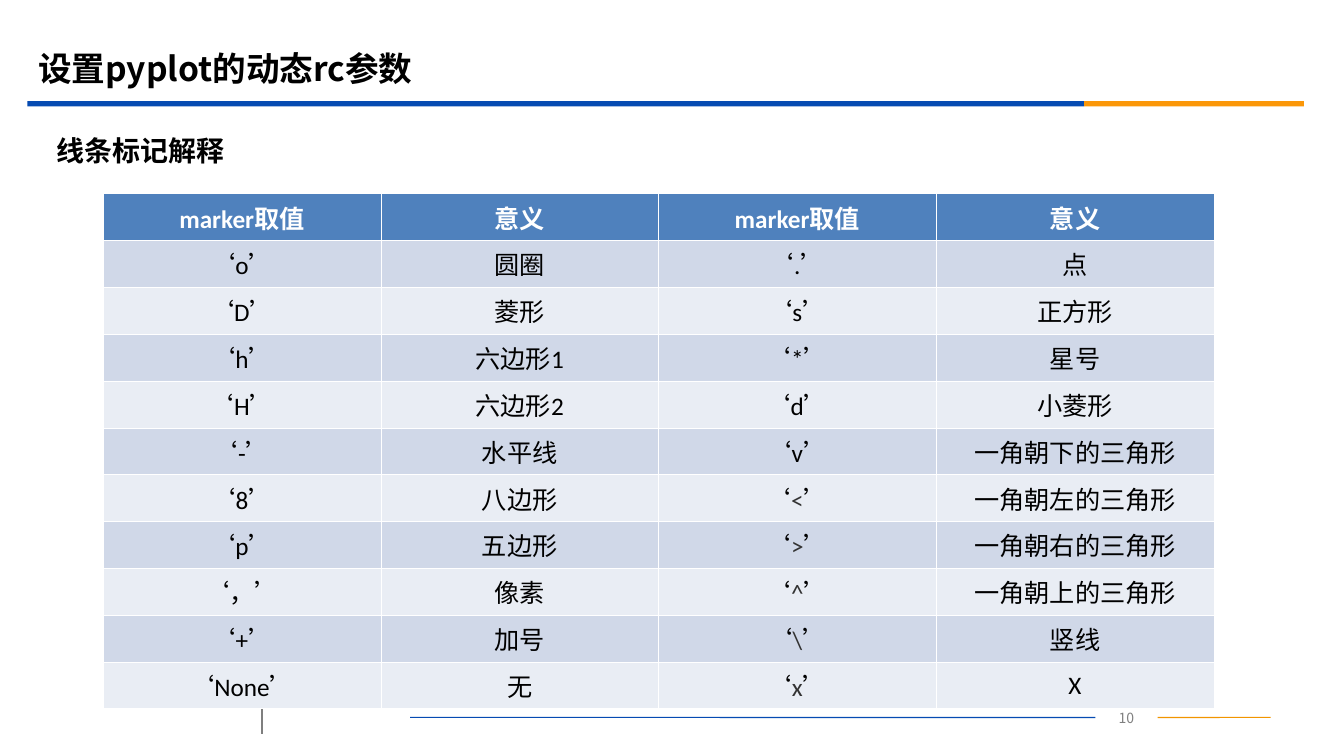
from itertools import groupby

from lxml import etree
from pptx import Presentation, util as u
from pptx.dml.color import RGBColor
from pptx.enum import shapes, text
from pptx.oxml import ns

BLUE = RGBColor(0x06, 0x4B, 0xB2)
ORANGE = RGBColor(0xFB, 0x97, 0x08)
AMBER = RGBColor(0xF1, 0x95, 0x00)
GRAY = RGBColor(0x7F, 0x7F, 0x7F)
DARK = RGBColor(0x33, 0x33, 0x33)
BLACK = RGBColor(0, 0, 0)
WHITE = RGBColor(0xFF, 0xFF, 0xFF)
HEAD = RGBColor(0x4F, 0x81, 0xBD)
BANDS = RGBColor(0xE9, 0xED, 0xF4), RGBColor(0xD0, 0xD8, 0xE8)

CJK, LATIN = "Noto Sans CJK SC", "Calibri"
LEFT, CENTER = text.PP_ALIGN.LEFT, text.PP_ALIGN.CENTER
FAINT = set("<>^\\x")  # markers set in dark gray

ROWS = [
    ("marker取值", "意义", "marker取值", "意义"),
    ("‘o’", "圆圈", "‘.’", "点"),
    ("‘D’", "菱形", "‘s’", "正方形"),
    ("‘h’", "六边形1", "‘*’", "星号"),
    ("‘H’", "六边形2", "‘d’", "小菱形"),
    ("‘-’", "水平线", "‘v’", "一角朝下的三角形"),
    ("‘8’", "八边形", "‘<’", "一角朝左的三角形"),
    ("‘p’", "五边形", "‘>’", "一角朝右的三角形"),
    ("‘，’", "像素", "‘^’", "一角朝上的三角形"),
    ("‘+’", "加号", "‘\\’", "竖线"),
    ("‘None’", "无", "‘x’", "X"),
]


def put(item, vals):
    for key, val in vals.items():
        setattr(item, key, val)


def sub(node, tag, **attrs):
    return etree.SubElement(node, ns.qn(tag), attrs)


class Deck:
    def __init__(self, wide, high):
        self.prs = Presentation()
        put(self.prs, {"slide_width": u.Cm(wide), "slide_height": u.Cm(high)})
        self.slide = self.prs.slides.add_slide(self.prs.slide_layouts[5])
        self.shapes = self.slide.shapes

    def run(self, para, words, size, color, bold=False, face=CJK):
        run = para.add_run()
        run.text = words
        run.font.color.rgb = color
        put(run.font, {"size": u.Pt(size), "bold": bold, "name": face})
        sub(run.font._element, "a:ea", typeface=CJK)

    def fill_text(self, box, words, size, color, bold=False, align=LEFT):
        put(box.text_frame, {
            "word_wrap": True, "auto_size": text.MSO_AUTO_SIZE.NONE,
            "vertical_anchor": text.MSO_ANCHOR.MIDDLE})
        para = box.text_frame.paragraphs[0]
        para.alignment = align
        self.run(para, words, size, color, bold)

    def title(self, words, *area):
        box = self.shapes.title
        put(box, dict(zip(("left", "top", "width", "height"), map(u.Cm, area))))
        self.fill_text(box, words, 24, BLACK, True)

    def label(self, words, *area, **style):
        box = self.shapes.add_textbox(*map(u.Cm, area))
        self.fill_text(box, words, **style)
        return box

    def bar(self, color, *area):
        bar = self.shapes.add_shape(shapes.MSO_SHAPE.RECTANGLE, *map(u.Cm, area))
        bar.shadow.inherit = False
        bar.fill.solid()
        bar.fill.fore_color.rgb = color
        bar.line.fill.background()

    def line(self, color, width, *ends):
        line = self.shapes.add_connector(
            shapes.MSO_CONNECTOR.STRAIGHT, *map(u.Cm, ends))
        line.line.color.rgb = color
        line.line.width = u.Pt(width)
        sub(line._element.spPr, "a:effectLst")
        return line

    def border(self, cell, row):
        wide = {"T": row == 1, "B": row == 0}
        for side in "LRTB":
            width = u.Pt(1.47 if wide.get(side) else 0.45)
            edge = sub(cell._tc.get_or_add_tcPr(), "a:ln" + side, w=str(width))
            sub(sub(edge, "a:solidFill"), "a:srgbClr", val=str(WHITE))

    def cell(self, cell, words, row):
        self.border(cell, row)
        cell.fill.solid()
        cell.fill.fore_color.rgb = BANDS[row % 2] if row else HEAD
        put(cell, {
            "vertical_anchor": text.MSO_ANCHOR.MIDDLE,
            "margin_left": u.Cm(0.2), "margin_right": u.Cm(0.2),
            "margin_top": u.Cm(0.13), "margin_bottom": u.Cm(0.13)})
        para = cell.text_frame.paragraphs[0]
        para.alignment = CENTER
        # Latin and Chinese parts get their own font
        for plain, chars in groupby(words, str.isascii):
            part = "".join(chars)
            color = DARK if part in FAINT else BLACK
            self.run(para, part, 18, color if row else WHITE, not row,
                     LATIN if plain else CJK)

    def table(self, rows, left, top, wide, high):
        count = len(rows[0])
        grid = self.shapes.add_table(
            len(rows), count, u.Cm(left), u.Cm(top),
            u.Cm(wide * count), u.Cm(high * len(rows))).table
        for col in grid.columns:
            col.width = u.Cm(wide)
        for r, row in enumerate(rows):
            grid.rows[r].height = u.Cm(high)
            for c, words in enumerate(row):
                self.cell(grid.cell(r, c), words, r)


def main():
    deck = Deck(33.88, 19.05)

    # Heading and its two-colour rule
    deck.title("设置pyplot的动态rc参数", 0.71, 0.99, 30.48, 1.47)
    deck.bar(BLUE, 0.69, 2.55, 26.64, 0.13)
    deck.bar(ORANGE, 27.33, 2.55, 5.54, 0.13)
    deck.label("线条标记解释", 1.17, 3.2, 30.86, 1.19,
               size=20, color=BLACK, bold=True)

    # Footer: page number between two lines, and a tick
    page = deck.label("10", 27.61, 17.76, 1.57, 0.64,
                      size=10, color=GRAY, align=CENTER)
    deck.line(BLUE, 0.75, 10.34, 18.08, 27.61, 18.08).end_connect(page, 1)
    deck.line(AMBER, 0.75, 29.18, 18.08, 32.03, 18.08).begin_connect(page, 3)
    deck.line(GRAY, 1.25, 6.6, 17.73, 6.6, 18.49)

    # Marker table
    deck.table(ROWS, 2.6, 4.88, 7, 1.1)

    deck.prs.save("out.pptx")


if __name__ == "__main__":
    main()
